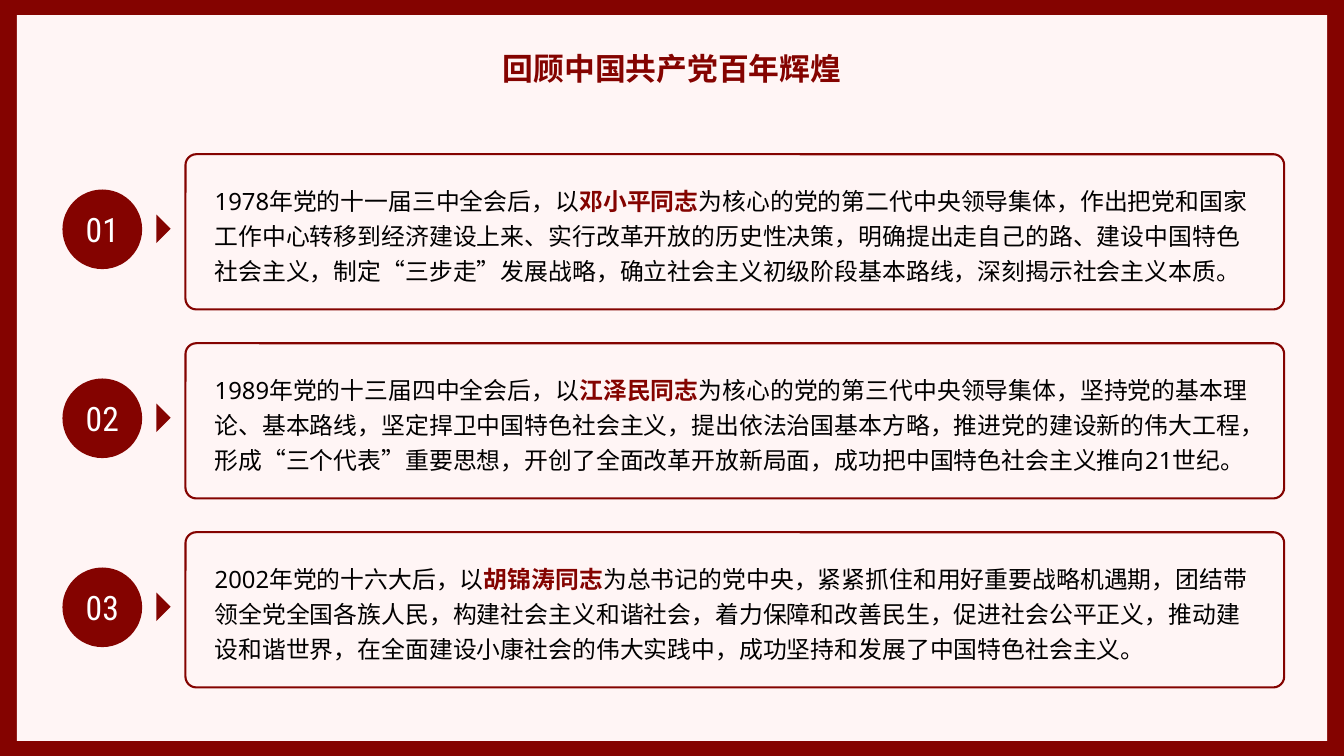
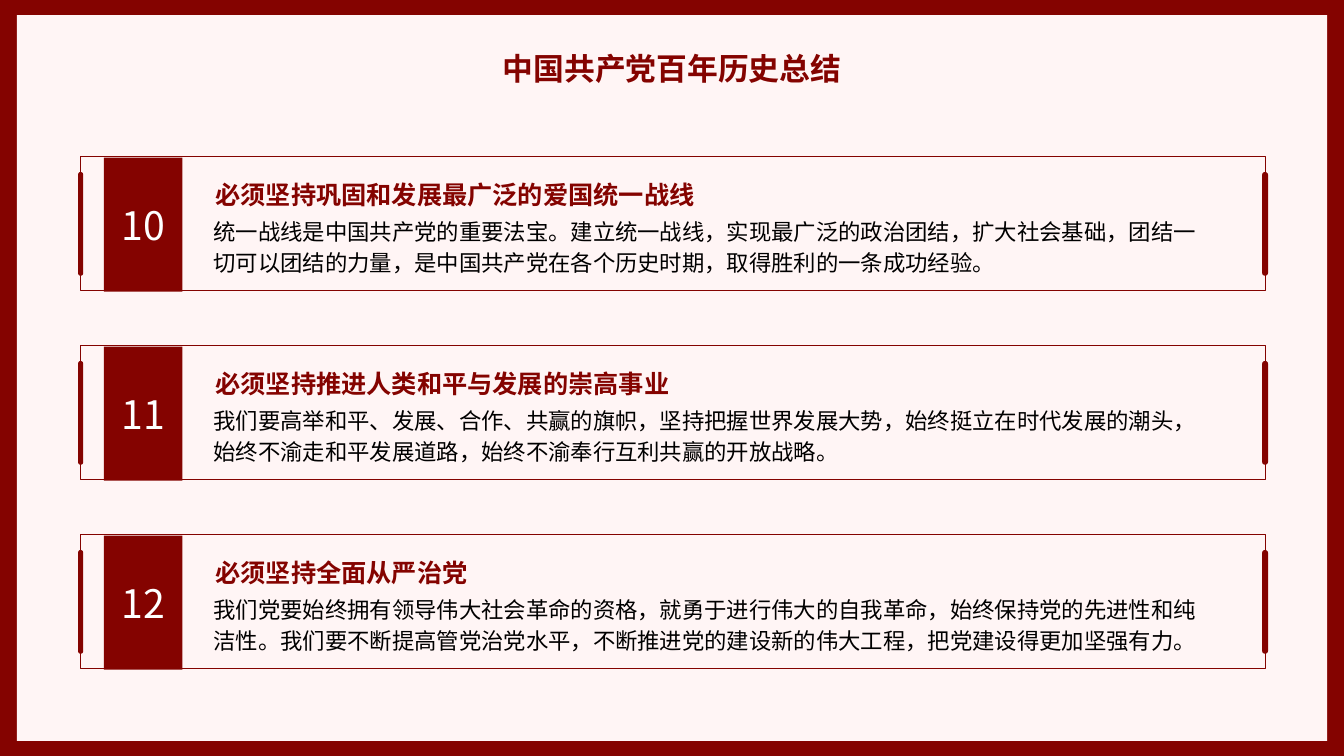
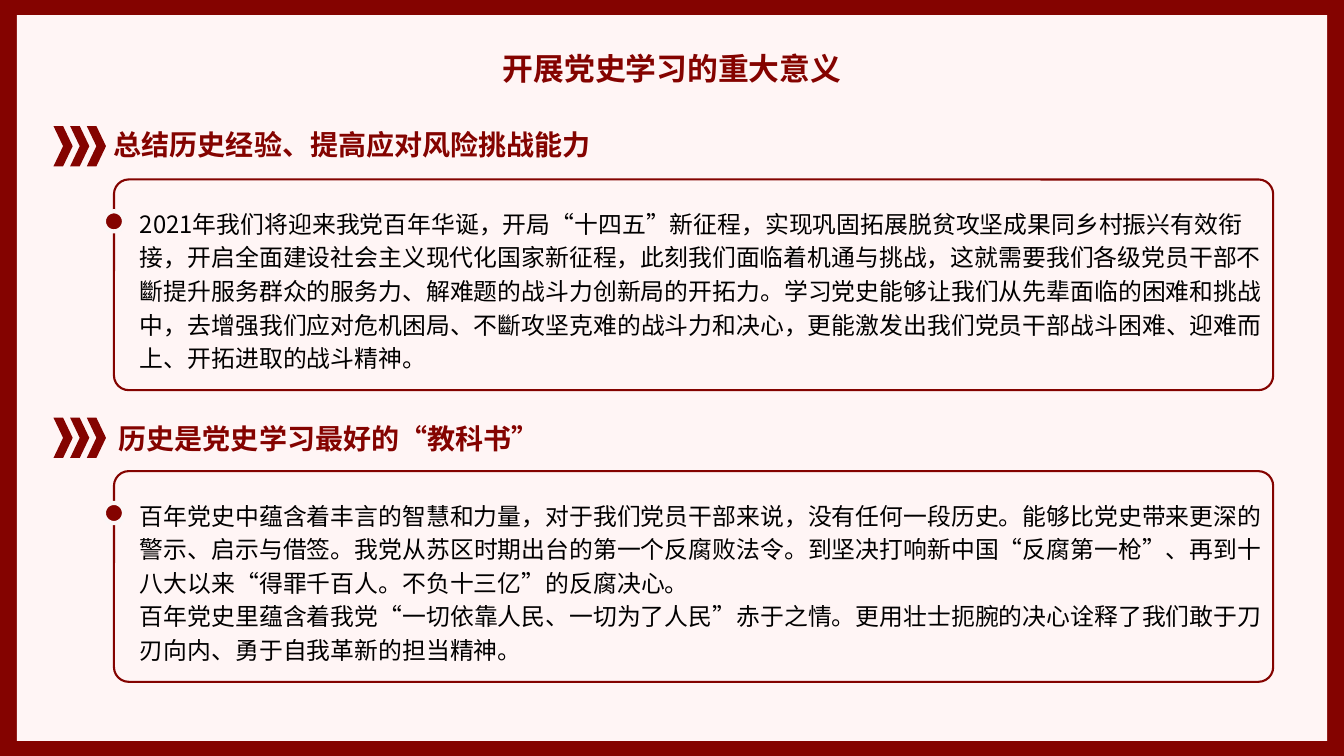
from lxml import etree
from pptx import Presentation
from pptx import util as u
from pptx.dml.color import RGBColor
from pptx.enum import lang, shapes, text as t
from pptx.oxml import ns

COLORS = {"red": "840300", "cream": "FFF5F5", "halo": "FCF6F6",
          "white": "FFFFFF", "black": "000000"}
WIDTH, HEIGHT = u.Inches(13.33), u.Inches(7.5)
SANS, CJK, CJK_JP, CONDENSED = ("Noto Sans", "Noto Sans CJK SC",
                                "Noto Sans CJK JP", "Roboto Condensed")
ROW_STEP = 25
SECTION_TOP, SECTION_STEP = 16.67, 38.58
KIND = shapes.MSO_SHAPE

ERAS = [
    ("01", "1978年党的十一届三中全会后，以|邓小平同志|为核心的党的第二代中央领导集体，"
     "作出把党和国家工作中心转移到经济建设上来、实行改革开放的历史性决策，"
     "明确提出走自己的路、建设中国特色社会主义，制定“三步走”发展战略，"
     "确立社会主义初级阶段基本路线，深刻揭示社会主义本质。"),
    ("02", "1989年党的十三届四中全会后，以|江泽民同志|为核心的党的第三代中央领导集体，"
     "坚持党的基本理论、基本路线，坚定捍卫中国特色社会主义，提出依法治国基本方略，"
     "推进党的建设新的伟大工程，形成“三个代表”重要思想，"
     "开创了全面改革开放新局面，成功把中国特色社会主义推向21世纪。"),
    ("03", "2002年党的十六大后，以|胡锦涛同志|为总书记的党中央，"
     "紧紧抓住和用好重要战略机遇期，团结带领全党全国各族人民，构建社会主义和谐社会，"
     "着力保障和改善民生，促进社会公平正义，推动建设和谐世界，"
     "在全面建设小康社会的伟大实践中，成功坚持和发展了中国特色社会主义。"),
]
LESSONS = [
    ("10", "必须坚持巩固和发展最广泛的爱国统一战线",
     "统一战线是中国共产党的重要法宝。建立统一战线，实现最广泛的政治团结，扩大社会基础，"
     "团结一切可以团结的力量，是中国共产党在各个历史时期，取得胜利的一条成功经验。"),
    ("11", "必须坚持推进人类和平与发展的崇高事业",
     "我们要高举和平、发展、合作、共赢的旗帜，坚持把握世界发展大势，始终挺立在时代发展的潮头，"
     "始终不渝走和平发展道路，始终不渝奉行互利共赢的开放战略。"),
    ("12", "必须坚持全面从严治党",
     "我们党要始终拥有领导伟大社会革命的资格，就勇于进行伟大的自我革命，"
     "始终保持党的先进性和纯洁性。我们要不断提高管党治党水平，"
     "不断推进党的建设新的伟大工程，把党建设得更加坚强有力。"),
]
SECTIONS = [
    ("总结历史经验、提高应对风险挑战能力", 7.73, -0.5,
     "2021年我们将迎来我党百年华诞，开局“十四五”新征程，"
     "实现巩固拓展脱贫攻坚成果同乡村振兴有效衔接，开启全面建设社会主义现代化国家新征程，"
     "此刻我们面临着机通与挑战，这就需要我们各级党员干部不斷提升服务群众的服务力、"
     "解难题的战斗力创新局的开拓力。学习党史能够让我们从先辈面临的困难和挑战中，"
     "去增强我们应对危机困局、不斷攻坚克难的战斗力和决心，"
     "更能激发出我们党员干部战斗困难、迎难而上、开拓进取的战斗精神。"),
    ("历史是党史学习最好的“教科书”", 8.1, -0.1,
     "百年党史中蕴含着丰言的智慧和力量，对于我们党员干部来说，没有任何一段历史。"
     "能够比党史带来更深的警示、启示与借签。我党从苏区时期出台的第一个反腐败法令。"
     "到坚决打响新中国“反腐第一枪”、再到十八大以来“得罪千百人。不负十三亿”的反腐决心。\n"
     "百年党史里蕴含着我党“一切依靠人民、一切为了人民”赤于之情。"
     "更用壮士扼腕的决心诠释了我们敢于刀刃向内、勇于自我革新的担当精神。"),
]


def rgb(name):
    return RGBColor.from_string(COLORS[name])


def place(left, top, width, height):
    """Turn percentages of the slide's size into lengths."""
    return (int(WIDTH * left / 100), int(HEIGHT * top / 100),
            int(WIDTH * width / 100), int(HEIGHT * height / 100))


def write(frame, text, size, font=SANS, color="black", bold=False,
          align=None, leading=None):
    """Fill a frame; lines are paragraphs, and |marked| words are bold red."""
    frame.word_wrap = True
    for index, line in enumerate(text.split("\n")):
        para = frame.add_paragraph() if index else frame.paragraphs[0]
        para.alignment = align
        if leading:
            para.line_spacing = u.Pt(leading)
        for part, words in enumerate(line.split("|")):
            marked = part % 2 == 1
            span = para.add_run()
            span.text = words
            span.font.size = u.Pt(size)
            span.font.bold = bold or marked
            span.font.color.rgb = rgb("red" if marked else color)
            span.font.name = font
            span.font.language_id = lang.MSO_LANGUAGE_ID.SIMPLIFIED_CHINESE
            east_asian = etree.SubElement(span.font._element, ns.qn("a:ea"))
            east_asian.set("typeface", CJK if font == SANS else font)


def add_text(page, area, text, **style):
    box = page.shapes.add_textbox(*place(*area))
    write(box.text_frame, text, **style)
    box.text_frame.auto_size = t.MSO_AUTO_SIZE.SHAPE_TO_FIT_TEXT


def add_figure(page, kind, area, fill=None, line=None, weight=1, adjust=None, turn=0):
    figure = page.shapes.add_shape(kind, *place(*area))
    figure.shadow.inherit = False
    figure.rotation = turn
    if adjust is not None:
        figure.adjustments[0] = adjust
    if fill:
        figure.fill.solid()
        figure.fill.fore_color.rgb = rgb(fill)
    else:
        figure.fill.background()
    if line:
        figure.line.color.rgb = rgb(line)
        figure.line.width = u.Pt(weight)
    else:
        figure.line.fill.background()
    return figure


def add_badge(page, kind, area, number, **style):
    """Red shape with a centred white number."""
    frame = add_figure(page, kind, area, fill="red").text_frame
    frame.margin_left = frame.margin_right = frame.margin_top = frame.margin_bottom = 0
    frame.vertical_anchor = t.MSO_ANCHOR.MIDDLE
    write(frame, number, color="white", align=t.PP_ALIGN.CENTER, **style)


def add_page(deck, title):
    page = deck.slides.add_slide(deck.slide_layouts[6])
    add_figure(page, KIND.RECTANGLE, (0, 0, 100, 100), fill="red")
    add_figure(page, KIND.RECTANGLE, (1.25, 2, 97.5, 96), fill="cream")
    add_text(page, (34.2, 5.87, 31.6, 6.27), title, size=22, font=CJK,
             color="red", bold=True, align=t.PP_ALIGN.CENTER)
    return page


def add_era(page, top, number, story):
    add_badge(page, KIND.OVAL, (4.65, top + 4.67, 5.93, 10.53), number,
              size=24, font=CONDENSED)
    add_figure(page, KIND.RIGHT_TRIANGLE, (10.88, top + 8.53, 1.5, 2.67),
               fill="red", turn=225)
    add_figure(page, KIND.ROUNDED_RECTANGLE, (13.8, top, 81.75, 20.53),
               line="red", weight=1.5, adjust=0.07)
    add_text(page, (15.23, top + 2.73, 79.05, 15.07), story, size=17, leading=25)


def add_lesson(page, top, number, heading, body):
    left, width, height, bar_height = 6, 88.13, 17.73, 13.73
    add_figure(page, KIND.RECTANGLE, (left, top, width, height), line="red", weight=0.75)
    for edge, bar_width in ((left, 0.38), (left + width, 0.45)):
        add_figure(page, KIND.ROUNDED_RECTANGLE,
                   (edge - bar_width / 2, top + (height - bar_height) / 2,
                    bar_width, bar_height), fill="red", adjust=0.5)
    add_badge(page, KIND.RECTANGLE, (7.73, top + 0.1, 5.85, height), number,
              size=28, font=CJK_JP)
    add_text(page, (15.3, top + 1.1, 46.6, 6.13), heading, size=18,
             color="red", bold=True, leading=28)
    add_text(page, (15.15, top + 6.95, 75.6, 9.33), body, size=16, leading=22)


def add_section(page, top, heading, heading_left, heading_shift, body):
    for index in range(3):
        add_figure(page, KIND.CHEVRON, (3.98 + index * 1.24, top, 1.43, 5.33), fill="red")
    add_text(page, (heading_left, top + heading_shift, 41.9, 5.87), heading,
             size=20, color="red", bold=True)
    add_figure(page, KIND.ROUNDED_RECTANGLE, (8.48, top + 7.07, 86.25, 27.87),
               line="red", weight=1.5, adjust=0.07)
    add_text(page, (9.68, top + 9.73, 85.05, 22.53), body, size=17, font=CJK, leading=24)
    add_figure(page, KIND.OVAL, (7.73, top + 11.27, 1.5, 2.67),
               fill="red", line="halo", weight=3)


def main():
    deck = Presentation()
    deck.slide_width, deck.slide_height = WIDTH, HEIGHT
    chapters = [
        ("回顾中国共产党百年辉煌", add_era, ERAS, 20.4, ROW_STEP),
        ("中国共产党百年历史总结", add_lesson, LESSONS, 20.75, ROW_STEP),
        ("开展党史学习的重大意义", add_section, SECTIONS, SECTION_TOP, SECTION_STEP),
    ]
    for title, add_row, rows, first_top, step in chapters:
        page = add_page(deck, title)
        for index, row in enumerate(rows):
            add_row(page, first_top + index * step, *row)
    deck.save("out.pptx")


if __name__ == "__main__":
    main()
